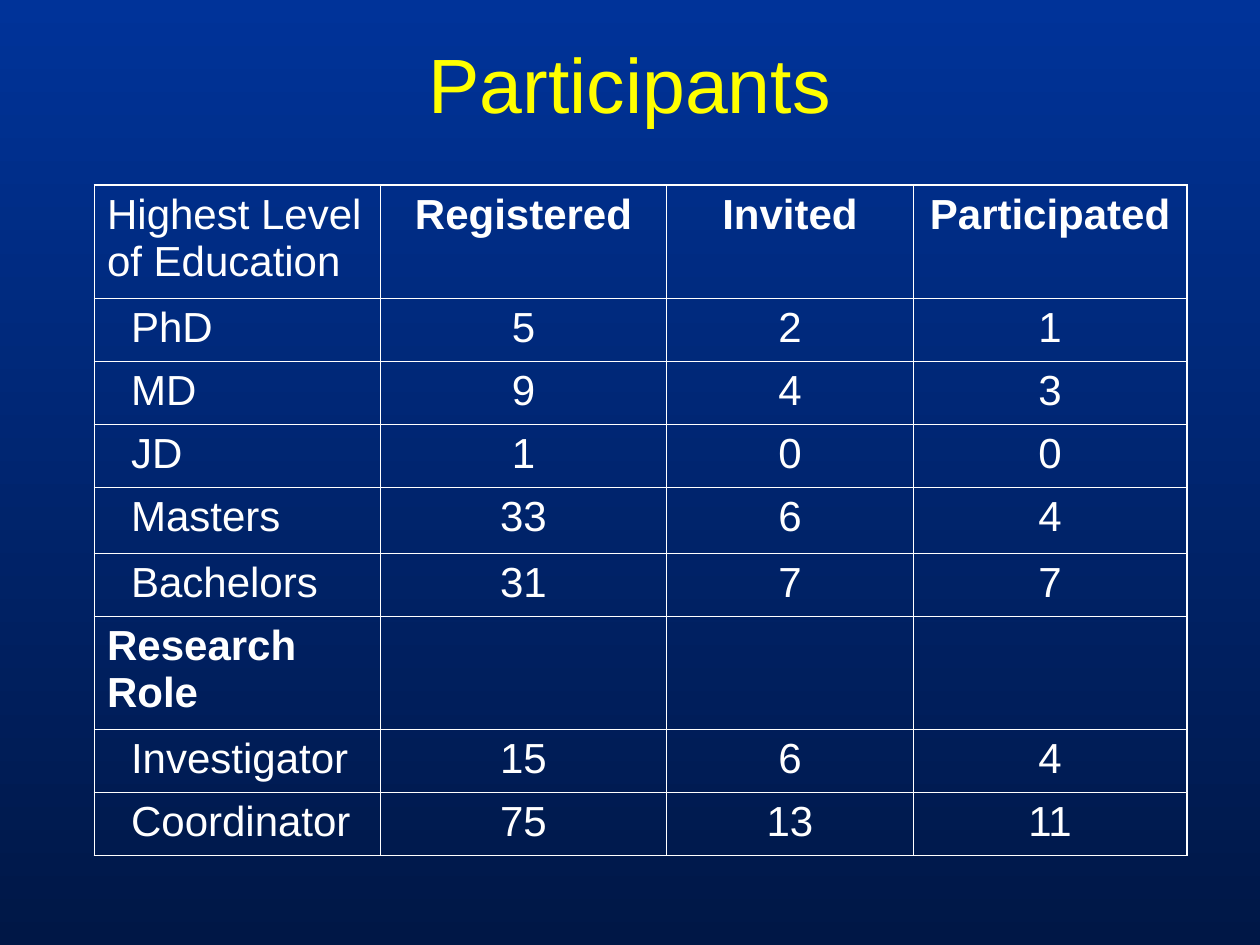
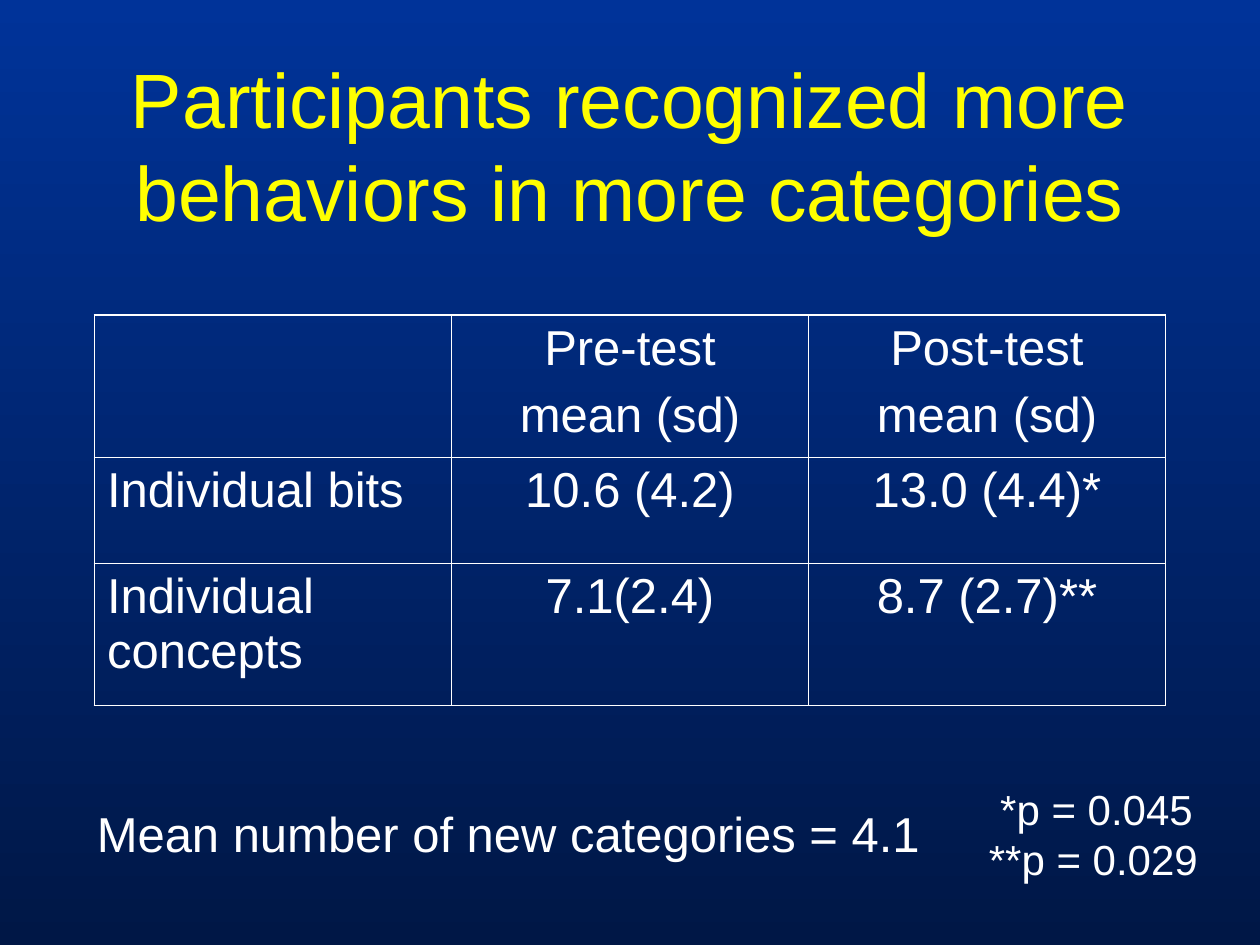
from lxml.etree import SubElement
from pptx import Presentation
from pptx.dml.color import RGBColor
from pptx.enum.text import MSO_ANCHOR, MSO_AUTO_SIZE, PP_ALIGN
from pptx.oxml.ns import qn
from pptx.util import Inches, Pt

WHITE = RGBColor(0xFF, 0xFF, 0xFF)
YELLOW = RGBColor(0xFF, 0xFF, 0x00)
BACKGROUND = (RGBColor(0x00, 0x33, 0x99), RGBColor(0x00, 0x17, 0x46))
FONT = "Arial"
LINE_HEIGHT = 1.2
OUTER_BORDER, INNER_BORDER = Pt(1.08), Pt(0.45)

PARTICIPANTS = {
    "title": "Participants",
    "title_box": (0.75, 0, 8.5, 1.25),
    "table": {
        "position": (0.75, 1.47),
        "columns": (2.27, 2.27, 1.96, 2.17),
        "row_heights": (0.9, 0.5, 0.5, 0.5, 0.52, 0.5, 0.9, 0.5, 0.5),
        "size": 24,
        "space_before": 6,
        "label_indent": 0.19,
        "bold": {"Registered", "Invited", "Participated", "Research Role"},
        "rows": [
            ("Highest Level of Education", "Registered", "Invited", "Participated"),
            ("PhD", "5", "2", "1"),
            ("MD", "9", "4", "3"),
            ("JD", "1", "0", "0"),
            ("Masters", "33", "6", "4"),
            ("Bachelors", "31", "7", "7"),
            ("Research Role", "", "", ""),
            ("Investigator", "15", "6", "4"),
            ("Coordinator", "75", "13", "11"),
        ],
        "flush_labels": {"Highest Level of Education", "Research Role"},
    },
    "notes": [],
}

RECOGNITION = {
    "title": "Participants recognized more behaviors in more categories",
    "title_box": (0.55, 0.33, 8.9, 1.57),
    "table": {
        "position": (0.75, 2.5),
        "columns": (8.5 / 3,) * 3,
        "row_heights": (1.13, 0.84, 1.13),
        "size": 28,
        "space_before": 7,
        "label_indent": 0,
        "bold": set(),
        "rows": [
            ("", "Pre-test\nmean (sd)", "Post-test\nmean (sd)"),
            ("Individual bits", "10.6 (4.2)", "13.0 (4.4)*"),
            ("Individual concepts", "7.1(2.4)", "8.7 (2.7)**"),
        ],
        "flush_labels": set(),
    },
    # Each note: box, size, lines with their indents
    "notes": [
        ((7.75, 6.17, 2, 0.9), 24, [("*p = 0.045", 0.09), ("**p = 0.029", 0)]),
        ((0.67, 6.33, 7.83, 0.57), 28, [("Mean number of new categories = 4.1", 0)]),
    ],
}


def inches(values):
    return [Inches(value) for value in values]


def format_paragraph(paragraph, size, color=WHITE, bold=False,
                     alignment=PP_ALIGN.LEFT, indent=0):
    properties = paragraph._p.get_or_add_pPr()
    properties.set("marL", str(Inches(indent)))
    properties.set("indent", "0")
    paragraph.alignment = alignment
    for name, value in {"name": FONT, "size": Pt(size), "bold": bold}.items():
        setattr(paragraph.font, name, value)
    paragraph.font.color.rgb = color


def set_borders(cell, widths):
    """Draw white borders; widths maps the sides L, R, T, B to line widths."""
    properties = cell._tc.get_or_add_tcPr()
    for side, width in widths.items():
        line = SubElement(properties, qn(f"a:ln{side}"), w=str(width))
        fill = SubElement(line, qn("a:solidFill"))
        SubElement(fill, qn("a:srgbClr"), val=str(WHITE))
    cell.fill.background()


def add_title(slide, text, box):
    title = slide.shapes.title
    title.left, title.top, title.width, title.height = inches(box)
    frame = title.text_frame
    frame.text = text
    settings = {
        "auto_size": MSO_AUTO_SIZE.NONE,
        "word_wrap": True,
        "vertical_anchor": MSO_ANCHOR.MIDDLE,
        "margin_top": Inches(0.08),
        "margin_bottom": Inches(0.02),
    }
    for name, value in settings.items():
        setattr(frame, name, value)
    paragraph = frame.paragraphs[0]
    format_paragraph(paragraph, 44, YELLOW, alignment=PP_ALIGN.CENTER)
    paragraph.line_spacing = Pt(44 * LINE_HEIGHT)


def add_results_table(slide, data):
    rows, columns, heights = data["rows"], data["columns"], data["row_heights"]
    left, top = data["position"]
    table = slide.shapes.add_table(
        len(rows), len(columns),
        *inches((left, top, sum(columns), sum(heights)))).table
    table.first_row = table.horz_banding = False
    for column, width in zip(table.columns, columns):
        column.width = Inches(width)
    for row, height in zip(table.rows, heights):
        row.height = Inches(height)

    last_row, last_column = len(rows) - 1, len(columns) - 1
    for i, row in enumerate(rows):
        for j, text in enumerate(row):
            cell = table.cell(i, j)
            cell.text = text
            is_outer = {"L": j == 0, "R": j == last_column,
                        "T": i == 0, "B": i == last_row}
            set_borders(cell, {side: OUTER_BORDER if outer else INNER_BORDER
                               for side, outer in is_outer.items()})
            indented = j == 0 and text not in data["flush_labels"]
            for number, paragraph in enumerate(cell.text_frame.paragraphs):
                format_paragraph(
                    paragraph, data["size"], bold=text in data["bold"],
                    alignment=PP_ALIGN.CENTER if j else PP_ALIGN.LEFT,
                    indent=data["label_indent"] if indented else 0)
                if number:
                    paragraph.space_before = Pt(data["space_before"])


def add_note(slide, box, size, lines):
    frame = slide.shapes.add_textbox(*inches(box)).text_frame
    frame.word_wrap = True
    frame.text = "\n".join(text for text, _ in lines)
    for paragraph, (_, indent) in zip(frame.paragraphs, lines):
        format_paragraph(paragraph, size, indent=indent)
        paragraph.line_spacing = Pt(size * LINE_HEIGHT)


def set_background(master):
    fill = master.background.fill
    fill.gradient()
    fill.gradient_angle = 270
    for stop, color, position in zip(fill.gradient_stops, BACKGROUND, (0, 1)):
        stop.color.rgb = color
        stop.position = position


def main():
    presentation = Presentation()
    presentation.slide_width, presentation.slide_height = inches((10, 7.5))
    set_background(presentation.slide_master)
    title_only = presentation.slide_layouts[5]
    for content in (PARTICIPANTS, RECOGNITION):
        slide = presentation.slides.add_slide(title_only)
        add_title(slide, content["title"], content["title_box"])
        add_results_table(slide, content["table"])
        for note in content["notes"]:
            add_note(slide, *note)
    presentation.save("out.pptx")


if __name__ == "__main__":
    main()
